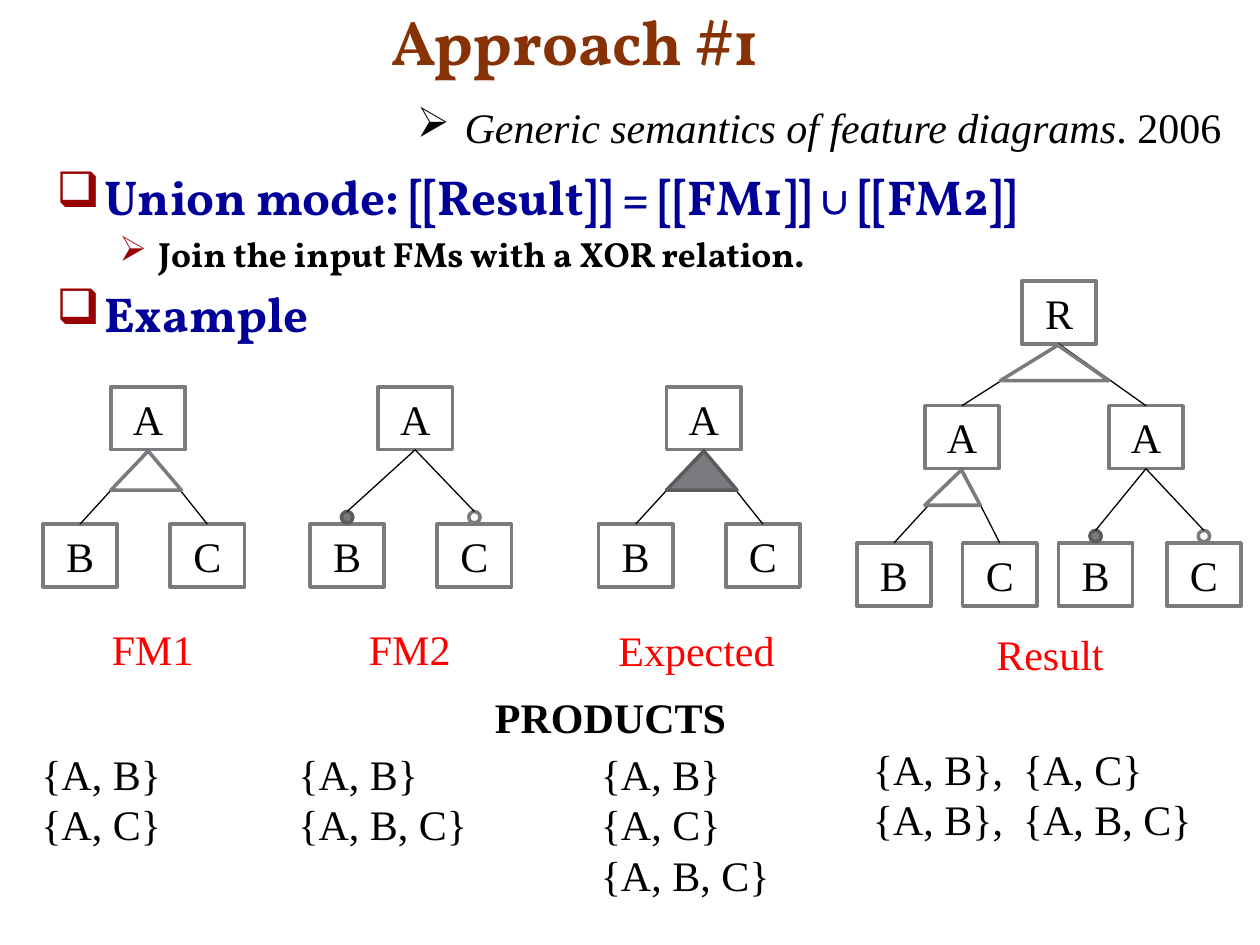
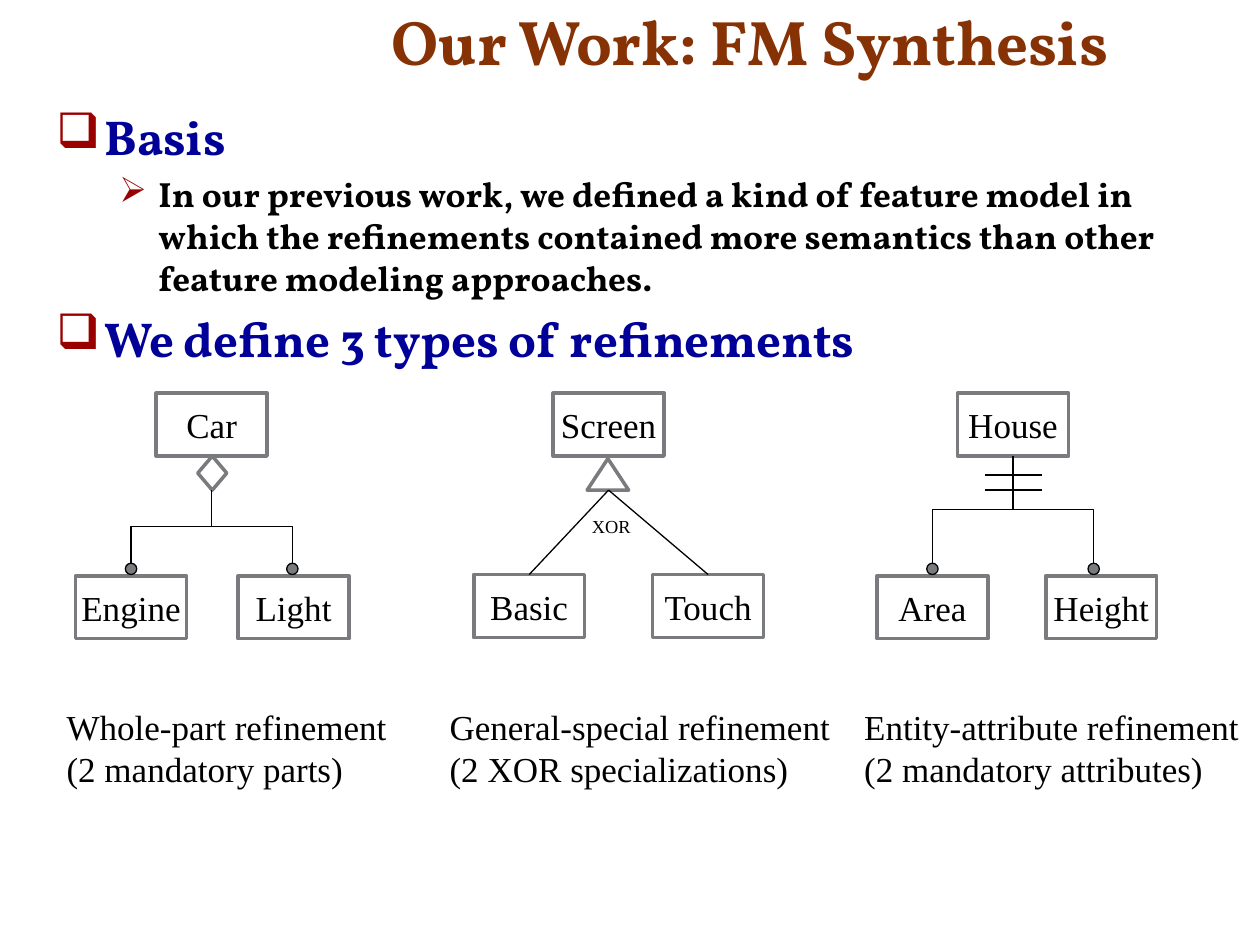
from lxml.etree import SubElement
from pptx import Presentation
from pptx.dml.color import RGBColor
from pptx.enum.shapes import MSO_CONNECTOR, MSO_SHAPE
from pptx.enum.text import MSO_ANCHOR, PP_ALIGN
from pptx.oxml.ns import qn
from pptx.util import Inches, Pt

SERIF, HEADING = "Times New Roman", "Vollkorn"
BLACK, WHITE, RED = "000000", "FFFFFF", "FF0000"
BROWN, NAVY, MAROON = "863204", "000099", "990000"
GRAY, DARK_GRAY = "797B7E", "5A5B5D"
NODE_H, DOT = 0.5, 0.09


def rgb(value):
    """Turn a hex string into a colour."""
    return RGBColor.from_string(value)


def add_bullet(p, char, margin, hang, color=None):
    """Give a paragraph a hanging bullet."""
    pPr = p._p.get_or_add_pPr()
    pPr.set("marL", str(Inches(margin)))
    pPr.set("indent", str(-Inches(hang)))
    if color:
        buClr = SubElement(pPr, qn("a:buClr"))
        SubElement(buClr, qn("a:srgbClr")).set("val", color)
    SubElement(pPr, qn("a:buChar")).set("char", char)


def add_tab(p, pos):
    """Give a paragraph a left tab stop."""
    tabs = SubElement(p._p.get_or_add_pPr(), qn("a:tabLst"))
    tab = SubElement(tabs, qn("a:tab"))
    tab.set("pos", str(Inches(pos)))
    tab.set("algn", "l")


def add_run(p, text, size=24, font=SERIF, color=BLACK, bold=False, italic=False):
    """Append a formatted run to a paragraph."""
    r = p.add_run()
    r.text = text
    r.font.size, r.font.name = Pt(size), font
    r.font.bold, r.font.italic = bold, italic
    r.font.color.rgb = rgb(color)


def add_text(slide, box, text, anchor=MSO_ANCHOR.TOP, wrap=False, tab=None, **fmt):
    """Add a text box with one paragraph per line of text."""
    tf = slide.shapes.add_textbox(*map(Inches, box)).text_frame
    tf.word_wrap, tf.vertical_anchor = wrap, anchor
    for i, line in enumerate(text.split("\n") if text else []):
        p = tf.add_paragraph() if i else tf.paragraphs[0]
        if tab:
            add_tab(p, tab)
        add_run(p, line, **fmt)
    return tf


def add_shape(slide, kind, box, fill=WHITE, line=GRAY, width=2):
    """Add a flat filled shape."""
    sp = slide.shapes.add_shape(kind, *map(Inches, box))
    sp.shadow.inherit = False
    sp.fill.solid()
    sp.fill.fore_color.rgb = rgb(fill)
    sp.line.color.rgb = rgb(line)
    sp.line.width = Pt(width)
    return sp


def add_line(slide, start, end, kind=MSO_CONNECTOR.STRAIGHT):
    """Add a thin black connector without shadow."""
    line = slide.shapes.add_connector(kind, *map(Inches, (*start, *end)))
    line.line.color.rgb = rgb(BLACK)
    line.line.width = Pt(0.75)
    SubElement(line._element.spPr, qn("a:effectLst"))
    return line


def add_elbow(slide, start, end):
    """Add an elbow that leaves and arrives vertically."""
    (x1, y1), (x2, y2) = start, end
    w, h = y2 - y1, abs(x2 - x1)
    left, top = (x1 + x2 - w) / 2, (y1 + y2 - h) / 2
    line = add_line(slide, (left, top), (left + w, top + h), MSO_CONNECTOR.ELBOW)
    xfrm = line._element.spPr.find(qn("a:xfrm"))
    xfrm.set("rot", str((90 if x2 < x1 else 270) * 60000))
    if x2 > x1:
        xfrm.set("flipH", "1")


def add_node(slide, x, y, label, w, size):
    """Add a feature box with a centred label."""
    sp = add_shape(slide, MSO_SHAPE.RECTANGLE, (x, y, w, NODE_H))
    tf = sp.text_frame
    tf.word_wrap, tf.vertical_anchor = False, MSO_ANCHOR.MIDDLE
    p = tf.paragraphs[0]
    p.alignment = PP_ALIGN.CENTER
    add_run(p, label, size)
    return sp


def add_dot(slide, cx, child_y, **look):
    """Add a mandatory or optional mark just above a child."""
    return add_shape(slide, MSO_SHAPE.OVAL, (cx - DOT / 2, child_y - 0.1, DOT, DOT), **look)


def add_triangle(slide, box, apex=0.5, **look):
    """Add a group triangle with its apex at a share of the width."""
    sp = add_shape(slide, MSO_SHAPE.ISOSCELES_TRIANGLE, box, **look)
    sp.adjustments[0] = apex


def join(slide, parent, target):
    """Join the bottom of a parent to the top of a target."""
    line = add_line(slide, (0, 0), (1, 1))
    line.begin_connect(parent, 2)
    line.end_connect(target, 0)


def feature_tree(slide, x, y, spread=(-0.54, 0.47), triangle=None, filled=False):
    """Draw A over B and C, joined by a triangle or by mandatory and optional marks."""
    w, size, child_y = 0.59, 24, y + 1.09
    parent = add_node(slide, x, y, "A", w, size)
    solid = dict(fill=GRAY, line=DARK_GRAY)
    for label, dx, look in zip("BC", spread, (solid, {})):
        child = add_node(slide, x + dx, child_y, label, w, size)
        target = child if triangle else add_dot(slide, x + dx + w / 2, child_y, **look)
        join(slide, parent, target)
    if triangle:
        tri_w, tri_h, apex = triangle
        add_triangle(slide, (x, y + 0.51, tri_w, tri_h), apex, **(solid if filled else {}))
    return parent


def result_tree(slide, x, y):
    """Draw root R over the two input trees."""
    root = add_node(slide, x, y, "R", 0.59, 24)
    left = feature_tree(slide, x - 0.77, y + 0.99, (-0.54, 0.3), (0.44, 0.28, 0.66))
    right = feature_tree(slide, x + 0.69, y + 0.99, (-0.4, 0.46))
    for branch in (left, right):
        join(slide, root, branch)
    add_triangle(slide, (x - 0.17, y + 0.51, 0.86, 0.28), 0.53)


def refinement(slide, x, y, labels, spread, drop=1.45):
    """Draw a parent and two children; return the children and the parent's bottom centre."""
    w, size = 0.88, 20
    add_node(slide, x, y, labels[0], w, size)
    children = [add_node(slide, x + dx, y + drop, label, w, size)
                for label, dx in zip(labels[1:], spread)]
    return children, x + w / 2, y + NODE_H


def mandatory_elbows(slide, cx, start_y, child_y):
    """Draw elbows from one point to two mandatory marks."""
    for dot_x in (cx - 0.64, cx + 0.64):
        add_dot(slide, dot_x, child_y, fill=GRAY, line=BLACK, width=0.75)
        add_elbow(slide, (cx, start_y), (dot_x, child_y - 0.1))


def whole_part(slide, x, y):
    """Draw the whole-part refinement."""
    _, cx, bottom = refinement(slide, x, y, ("Car", "Engine", "Light"), (-0.64, 0.65))
    add_shape(slide, MSO_SHAPE.DIAMOND, (cx - 0.11, bottom, 0.23, 0.27))
    mandatory_elbows(slide, cx, bottom + 0.27, y + 1.45)


def general_special(slide, x, y):
    """Draw the general-special refinement."""
    labels = ("Screen", "Basic", "Touch")
    children, cx, bottom = refinement(slide, x, y, labels, (-0.63, 0.79), 1.44)
    add_triangle(slide, (cx - 0.17, bottom + 0.02, 0.33, 0.25))
    for child in children:
        add_line(slide, (cx, bottom + 0.27), (cx, y + 1.44)).end_connect(child, 0)
    add_text(slide, (cx - 0.23, bottom + 0.42, 0.53, 0.29), "XOR", size=10.5)


def entity_attribute(slide, x, y):
    """Draw the entity-attribute refinement."""
    _, cx, bottom = refinement(slide, x, y, ("House", "Area", "Height"), (-0.64, 0.7))
    mandatory_elbows(slide, cx, bottom, y + 1.45)
    for bar_y in (bottom + 0.15, bottom + 0.27):
        add_line(slide, (cx - 0.22, bar_y), (cx + 0.23, bar_y))


def add_outline(slide, box, items):
    """Add the bulleted outline from (level, text) pairs."""
    styles = (dict(size=28, color=NAVY), dict(size=20, color=BLACK))
    bullets = (("❑", 0.38, 0.38), ("➢", 0.81, 0.31))
    tf = add_text(slide, box, "", wrap=True)
    for i, (level, text) in enumerate(items):
        p = tf.add_paragraph() if i else tf.paragraphs[0]
        p.level = level
        if i:
            p.space_before = Pt(styles[level]["size"] * 0.2)
        add_bullet(p, *bullets[level], MAROON)
        add_run(p, text, font=HEADING, bold=True, **styles[level])


def new_slide(prs, title):
    """Add a blank slide with the shared title."""
    slide = prs.slides.add_slide(prs.slide_layouts[6])
    add_text(slide, (3.01, -0.03, 6.84, 0.7), title, anchor=MSO_ANCHOR.BOTTOM, wrap=True,
             size=36, font=HEADING, color=BROWN, bold=True)
    return slide


def approach_slide(prs):
    """Build the slide on the union approach."""
    slide = new_slide(prs, "Approach #1")
    add_outline(slide, (0.35, 1.27, 9.23, 5.74), (
        (0, "Union mode: [[Result]] = [[FM1]] ∪ [[FM2]]"),
        (1, "Join the input FMs with a XOR relation."),
        (0, "Example")))
    p = add_text(slide, (3.21, 0.76, 6.63, 0.5), "").paragraphs[0]
    add_bullet(p, "➢", 0.38, 0.38)
    add_run(p, "Generic semantics of feature diagrams", italic=True)
    add_run(p, ". 2006")

    triangle = (0.56, 0.31, 0.53)
    feature_tree(slide, 0.88, 3.07, triangle=triangle)
    feature_tree(slide, 3, 3.07)
    feature_tree(slide, 5.29, 3.07, triangle=triangle, filled=True)
    result_tree(slide, 8.11, 2.23)

    for x, y, w, name in ((0.79, 4.9, 0.86, "FM1"), (2.83, 4.9, 0.86, "FM2"),
                          (4.81, 4.91, 1.45, "Expected"), (7.81, 4.94, 1.06, "Result")):
        add_text(slide, (x, y, w, 0.5), name, color=RED)
    add_text(slide, (3.83, 5.44, 2.05, 0.5), "PRODUCTS", bold=True)
    for x, w, products in ((0.23, 1.16, "{A, B}\n{A, C}"),
                           (2.27, 1.55, "{A, B}\n{A, B, C}"),
                           (4.67, 1.55, "{A, B}\n{A, C}\n{A, B, C}")):
        add_text(slide, (x, 5.89, w, 0.91), products)
    add_text(slide, (6.83, 5.85, 2.76, 0.91), "{A, B},\t{A, C}\n{A, B},\t{A, B, C}", tab=1.19)


def synthesis_slide(prs):
    """Build the slide on the three refinement types."""
    slide = new_slide(prs, "Our Work: FM Synthesis")
    add_outline(slide, (0.35, 0.8, 9.23, 5.7), (
        (0, "Basis"),
        (1, "In our previous work, we defined a kind of feature model in which the refinements "
            "contained more semantics than other feature modeling approaches."),
        (0, "We define 3 types of refinements")))
    whole_part(slide, 1.24, 3.12)
    general_special(slide, 4.39, 3.12)
    entity_attribute(slide, 7.6, 3.12)
    for x, w, caption in (
            (0.43, 2.76, "Whole-part refinement\n(2 mandatory parts)"),
            (3.47, 3.24, "General-special refinement\n(2 XOR specializations)"),
            (6.76, 3.19, "Entity-attribute refinement\n(2 mandatory attributes)")):
        add_text(slide, (x, 5.55, w, 0.77), caption, size=20)


def main():
    """Build and save the presentation."""
    prs = Presentation()
    prs.slide_width, prs.slide_height = Inches(10), Inches(7.5)
    approach_slide(prs)
    synthesis_slide(prs)
    prs.save("out.pptx")


if __name__ == "__main__":
    main()
